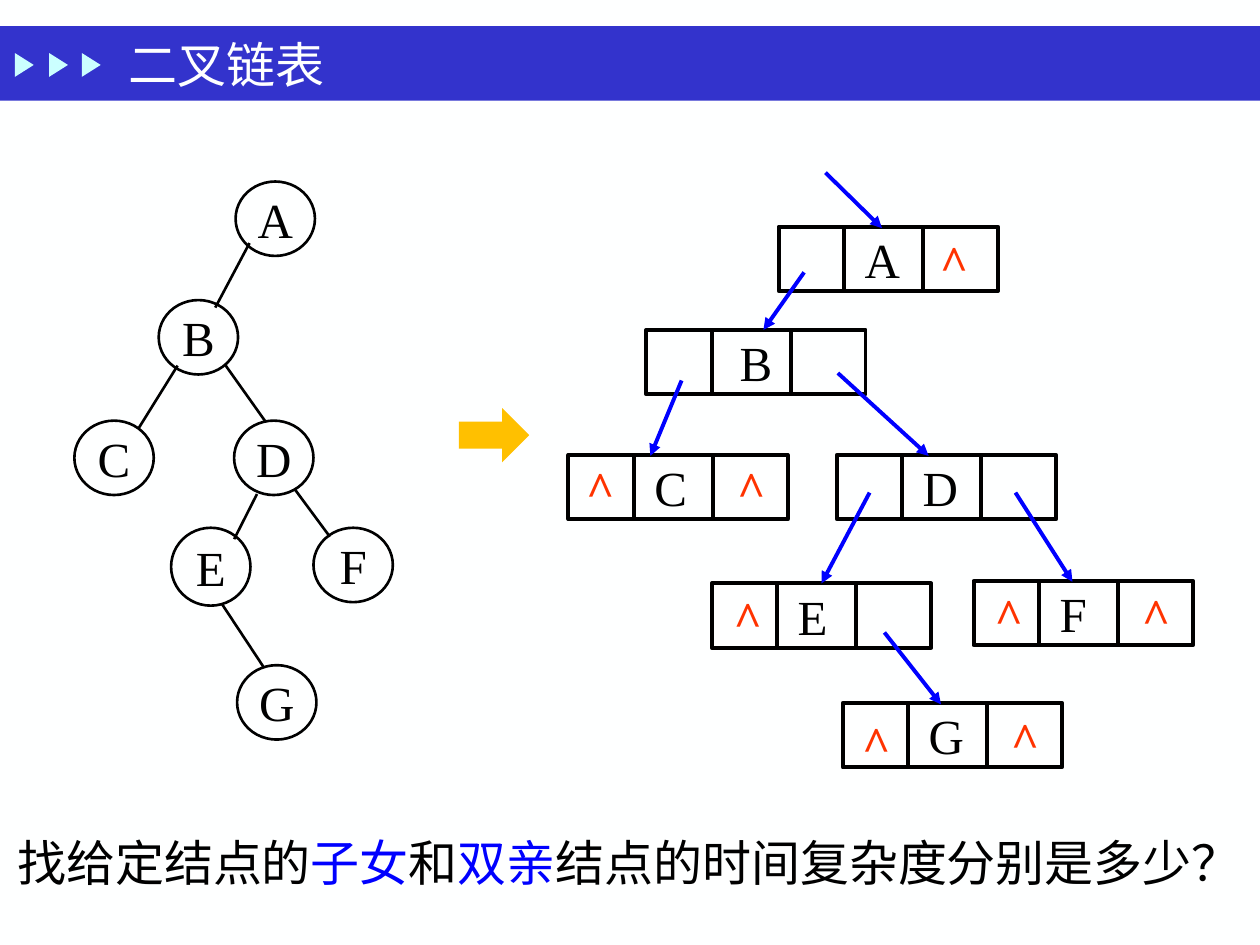
from dataclasses import dataclass

from lxml import etree
from pptx import Presentation
from pptx.dml.color import RGBColor
from pptx.enum.shapes import MSO_CONNECTOR, MSO_SHAPE
from pptx.enum.text import MSO_ANCHOR, PP_ALIGN
from pptx.oxml.ns import qn
from pptx.slide import Slide
from pptx.util import Cm, Pt

RECT, OVAL = MSO_SHAPE.RECTANGLE, MSO_SHAPE.OVAL
TRIANGLE, RIGHT_ARROW = MSO_SHAPE.ISOSCELES_TRIANGLE, MSO_SHAPE.RIGHT_ARROW
STRAIGHT = MSO_CONNECTOR.STRAIGHT
LEFT, CENTER = PP_ALIGN.LEFT, PP_ALIGN.CENTER
TOP, MIDDLE = MSO_ANCHOR.TOP, MSO_ANCHOR.MIDDLE

BLACK = RGBColor(0x00, 0x00, 0x00)
PAPER = RGBColor(0xFE, 0xFF, 0xFF)
BANNER = RGBColor(0x33, 0x33, 0xCC)
MARKER = RGBColor(0xCB, 0xFF, 0xFF)
BLUE = RGBColor(0x00, 0x00, 0xFF)
RED = RGBColor(0xFF, 0x33, 0x00)
AMBER = RGBColor(0xFF, 0xC0, 0x00)

SERIF, CJK = "Times New Roman", "Noto Sans CJK SC"
RECORD_WIDTH, RECORD_HEIGHT = 4.42, 1.3
DIVIDERS = (1.32, 2.91)

TREE_NODES = {
    "A": (4.75, 3.66), "B": (3.2, 6.05), "C": (1.5, 8.48), "D": (4.72, 8.48),
    "E": (3.45, 10.64), "F": (6.32, 10.64), "G": (4.78, 13.41),
}
TREE_EDGES = [
    (5.03, 4.9, 4.34, 6.2), (3.58, 7.37, 2.79, 8.64), (4.55, 7.37, 5.36, 8.51),
    (5.18, 9.96, 4.72, 10.87), (5.94, 9.86, 6.65, 10.82), (4.47, 12.17, 5.31, 13.44),
]
RECORDS = {
    "A": (15.7, 4.57), "B": (13.03, 6.65), "C": (11.46, 9.17), "D": (16.87, 9.17),
    "E": (14.35, 11.76), "F": (19.63, 11.71), "G": (16.99, 14.17),
}
POINTERS = {
    "A": (16.64, 3.48, 17.78, 4.6), "B": (16.21, 5.49, 15.39, 6.65),
    "C": (13.74, 7.67, 13.11, 9.19), "D": (16.89, 7.52, 18.72, 9.19),
    "E": (17.53, 9.93, 16.51, 11.73), "F": (20.47, 9.93, 21.62, 11.73),
    "G": (17.83, 12.75, 18.97, 14.2),
}
NULL_MARKS = [
    (18.64, 4.47), (11.51, 9.02), (14.55, 9.02), (14.48, 11.63),
    (19.74, 11.58), (22.71, 11.58), (17.07, 14.15), (20.07, 14.07),
]
QUESTION = [
    ("找给定结点的", BLACK), ("子女", BLUE), ("和", BLACK), ("双亲", BLUE),
    ("结点的时间复杂度分别是多少？", BLACK),
]


def write(frame, *parts, font=SERIF, size=28, bold=False, align=CENTER,
          anchor=MIDDLE, wrap=False, indent=0.25):
    frame.word_wrap = wrap
    frame.vertical_anchor = anchor
    frame.margin_left = Cm(indent)
    paragraph = frame.paragraphs[0]
    paragraph.alignment = align
    for words, color in parts:
        run = paragraph.add_run()
        run.text = words
        run.font.name = font
        run.font.size = Pt(size)
        run.font.bold = bold
        run.font.color.rgb = color
        etree.SubElement(run.font._element, qn("a:ea"), typeface=CJK)


@dataclass
class Board:
    slide: Slide
    thin: float = 1.5
    thick: float = 2.25

    def shape(self, kind, x, y, width, height, fill=None, weight=None, turn=0):
        shape = self.slide.shapes.add_shape(kind, Cm(x), Cm(y), Cm(width), Cm(height))
        shape.shadow.inherit = False
        shape.rotation = turn
        if fill is None:
            shape.fill.background()
        else:
            shape.fill.solid()
            shape.fill.fore_color.rgb = fill
        if weight is None:
            shape.line.fill.background()
        else:
            shape.line.color.rgb = BLACK
            shape.line.width = Pt(weight)
        return shape

    def text(self, x, y, width, height, *parts, **style):
        box = self.slide.shapes.add_textbox(Cm(x), Cm(y), Cm(width), Cm(height))
        write(box.text_frame, *parts, **style)

    def line(self, x1, y1, x2, y2, weight, color=BLACK):
        line = self.slide.shapes.add_connector(STRAIGHT, Cm(x1), Cm(y1), Cm(x2), Cm(y2))
        line.line.color.rgb = color
        line.line.width = Pt(weight)
        etree.SubElement(line._element.spPr, qn("a:effectLst"))
        return line

    def pointer(self, *ends):
        pointer = self.line(*ends, self.thick, BLUE)
        etree.SubElement(pointer.line._get_or_add_ln(), qn("a:tailEnd"), type="triangle")
        return pointer

    def tree_node(self, letter, x, y, height=1.5):
        node = self.shape(OVAL, x, y, 1.6, height, weight=self.thin)
        write(node.text_frame, (letter, BLACK))

    def record(self, letter, x, y, **style):
        record = self.shape(RECT, x, y, RECORD_WIDTH, RECORD_HEIGHT, weight=self.thick)
        write(record.text_frame, (letter, BLACK), **style)
        for offset in DIVIDERS:
            self.line(x + offset, y, x + offset, y + RECORD_HEIGHT, self.thick)
        return record


def main():
    deck = Presentation()
    deck.slide_width, deck.slide_height = Cm(25.4), Cm(19.05)
    board = Board(deck.slides.add_slide(deck.slide_layouts[6]))
    backdrop = board.slide.background.fill
    backdrop.solid()
    backdrop.fore_color.rgb = PAPER

    board.shape(RECT, 0, 0.53, 25.4, 1.5, fill=BANNER)
    for x in (0.25, 0.94, 1.6):
        board.shape(TRIANGLE, x, 1.12, 0.48, 0.38, fill=MARKER, turn=90)
    board.text(2.34, 0.66, 17.78, 1.27, ("二叉链表", PAPER), align=LEFT, wrap=True)

    for letter, place in TREE_NODES.items():
        board.tree_node(letter, *place, height=1.57 if letter == "E" else 1.5)
    for edge in TREE_EDGES:
        board.line(*edge, board.thin)

    board.shape(RIGHT_ARROW, 9.25, 8.23, 1.42, 1.09, fill=AMBER)

    records = {}
    for letter, place in RECORDS.items():
        style = {} if letter == "B" else {"align": LEFT, "indent": 1.73, "wrap": True}
        records[letter] = board.record(letter, *place, **style)
    for target, ends in POINTERS.items():
        pointer = board.pointer(*ends)
        if target == "E":
            pointer.end_connect(records[target], 0)
    for place in NULL_MARKS:
        board.text(*place, 1.19, 1.6, ("^", RED), bold=True)

    board.text(0.1, 16.66, 25.45, 1.45, *QUESTION, font=CJK, align=LEFT, anchor=TOP)
    deck.save("out.pptx")


if __name__ == "__main__":
    main()
